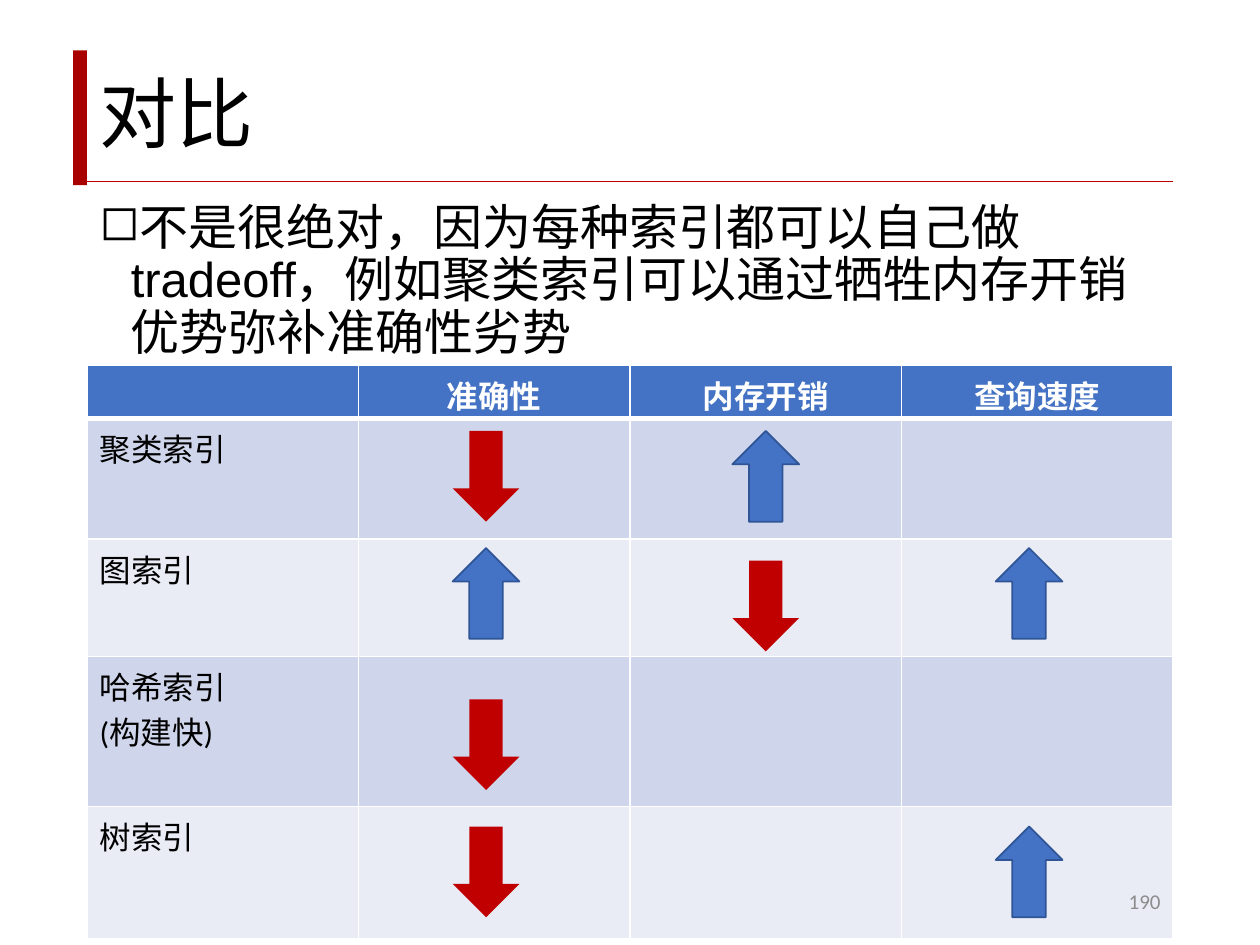
from collections import namedtuple
from dataclasses import dataclass
from itertools import accumulate

from lxml.etree import SubElement
from pptx import Presentation
from pptx.dml.color import RGBColor
from pptx.enum.shapes import MSO_CONNECTOR as Connector, MSO_SHAPE as Shape
from pptx.enum.text import MSO_ANCHOR as Anchor, PP_ALIGN as Align
from pptx.oxml.ns import qn
from pptx.util import Inches, Pt

Box = namedtuple("Box", "left top width height")


@dataclass(frozen=True)
class Theme:
    heading_font: str = "Arial"
    table_font: str = "Calibri"
    title_size: int = 44
    body_size: int = 28
    table_size: int = 18
    number_size: int = 12
    text: str = "000000"
    white: str = "FFFFFF"
    bar: str = "A90000"
    red: str = "C00000"
    blue: str = "4472C4"
    blue_edge: str = "2F5597"
    bands: tuple = ("CFD5EA", "E9EBF5")
    number: str = "8C8C8C"


THEME = Theme()
HEADER = ["", "准确性", "内存开销", "查询速度"]
ROW_LABELS = ["聚类索引", "图索引", "哈希索引\n(构建快)", "树索引"]
ROW_HEIGHTS = [0.42, 0.96, 0.93, 1.19, 1.05]
# Arrow centres, in columns from the table's left edge
ARROW_CENTRES = {1: 1.47, 2: 2.5, 3: 3.47}
# Row, column, direction, distance below the row's top
ARROWS = [
    (1, 1, "down", 0.1), (1, 2, "up", 0.1),
    (2, 1, "up", 0.07), (2, 2, "down", 0.17), (2, 3, "up", 0.07),
    (3, 1, "down", 0.34),
    (4, 1, "down", 0.16), (4, 3, "up", 0.16),
]


def colour(value):
    return RGBColor.from_string(value)


def add_run(paragraph, text, font, size, fill, bold=False):
    run = paragraph.add_run()
    run.text = text
    run.font.name = font
    run.font.size = Pt(size)
    run.font.bold = bold
    run.font.color.rgb = colour(fill)


def add_text_box(slide, box, anchor):
    """Return the first paragraph of a new wrapping text box."""
    frame = slide.shapes.add_textbox(*map(Inches, box)).text_frame
    frame.word_wrap = True
    frame.vertical_anchor = anchor
    return frame.paragraphs[0]


def add_filled_shape(slide, kind, box, fill, edge=None):
    shape = slide.shapes.add_shape(kind, *map(Inches, box))
    shape.shadow.inherit = False
    shape.fill.solid()
    shape.fill.fore_color.rgb = colour(fill)
    if edge:
        shape.line.color.rgb = colour(edge)
        shape.line.width = Pt(1)
    else:
        shape.line.fill.background()


def add_title(slide, box, text):
    bar_width = 0.11
    add_filled_shape(slide, Shape.RECTANGLE,
                     Box(box.left - bar_width, box.top, bar_width, box.height), THEME.bar)
    rule_top = Inches(box.top + box.height - 0.03)
    rule = slide.shapes.add_connector(Connector.STRAIGHT, Inches(box.left), rule_top,
                                      Inches(box.left + box.width), rule_top)
    rule.line.color.rgb = colour(THEME.red)
    rule.line.width = Pt(1)
    SubElement(rule.element.spPr, qn("a:effectLst"))
    paragraph = add_text_box(slide, box, Anchor.MIDDLE)
    paragraph.line_spacing = 0.9
    add_run(paragraph, text, THEME.heading_font, THEME.title_size, THEME.text)


def add_body(slide, box, text):
    paragraph = add_text_box(slide, box, Anchor.TOP)
    properties = paragraph._p.get_or_add_pPr()
    properties.set("marL", str(Inches(0.25)))
    properties.set("indent", str(-Inches(0.25)))
    SubElement(properties, qn("a:buChar")).set("char", "◻")
    paragraph.line_spacing = 0.9
    add_run(paragraph, text, THEME.heading_font, THEME.body_size, THEME.text)


def set_borders(cell, bottom_width=1, top_width=1):
    properties = cell._tc.get_or_add_tcPr()
    for side, width in (("L", 1), ("R", 1), ("T", top_width), ("B", bottom_width)):
        line = SubElement(properties, qn(f"a:ln{side}"), w=str(Pt(width)))
        fill = SubElement(line, qn("a:solidFill"))
        SubElement(fill, qn("a:srgbClr"), val=THEME.white)


def fill_cell(cell, text, row):
    is_header = row == 0
    set_borders(cell, bottom_width=3 if is_header else 1, top_width=3 if row == 1 else 1)
    cell.fill.solid()
    cell.fill.fore_color.rgb = colour(THEME.blue if is_header else THEME.bands[(row - 1) % 2])
    if not text:
        return
    frame = cell.text_frame
    for index, line in enumerate(text.split("\n")):
        paragraph = frame.add_paragraph() if index else frame.paragraphs[0]
        paragraph.alignment = Align.CENTER if is_header else Align.LEFT
        add_run(paragraph, line, THEME.table_font, THEME.table_size,
                THEME.white if is_header else THEME.text, is_header)


def add_comparison_table(slide, box):
    rows = [HEADER] + [[label] + [""] * (len(HEADER) - 1) for label in ROW_LABELS]
    table = slide.shapes.add_table(len(rows), len(HEADER), *map(Inches, box)).table
    for column in table.columns:
        column.width = Inches(box.width / len(HEADER))
    for row, texts in enumerate(rows):
        table.rows[row].height = Inches(ROW_HEIGHTS[row])
        for column, text in enumerate(texts):
            fill_cell(table.cell(row, column), text, row)


def add_rating_arrows(slide, box):
    width, height = 0.53, 0.72
    row_tops = list(accumulate(ROW_HEIGHTS, initial=box.top))
    for row, column, direction, drop in ARROWS:
        centre = box.left + ARROW_CENTRES[column] * box.width / len(HEADER)
        arrow_box = Box(centre - width / 2, row_tops[row] + drop, width, height)
        if direction == "up":
            add_filled_shape(slide, Shape.UP_ARROW, arrow_box, THEME.blue, THEME.blue_edge)
        else:
            add_filled_shape(slide, Shape.DOWN_ARROW, arrow_box, THEME.red)


def add_page_number(slide, box, text):
    paragraph = add_text_box(slide, box, Anchor.MIDDLE)
    paragraph.alignment = Align.RIGHT
    add_run(paragraph, text, THEME.table_font, THEME.number_size, THEME.number)


def main():
    presentation = Presentation()
    presentation.slide_width, presentation.slide_height = Inches(10), Inches(7.5)
    slide = presentation.slides.add_slide(presentation.slide_layouts[6])
    left, width = 0.69, 8.62
    table_box = Box(left, 2.9, width, sum(ROW_HEIGHTS))
    add_title(slide, Box(left, 0.4, width, 1.07), "对比")
    add_body(slide, Box(left, 1.56, width, 5.2),
             "不是很绝对，因为每种索引都可以自己做tradeoff，"
             "例如聚类索引可以通过牺牲内存开销优势弥补准确性劣势")
    add_comparison_table(slide, table_box)
    add_rating_arrows(slide, table_box)
    add_page_number(slide, Box(left + width - 2.25, 6.95, 2.25, 0.4), "190")
    presentation.save("out.pptx")


if __name__ == "__main__":
    main()
